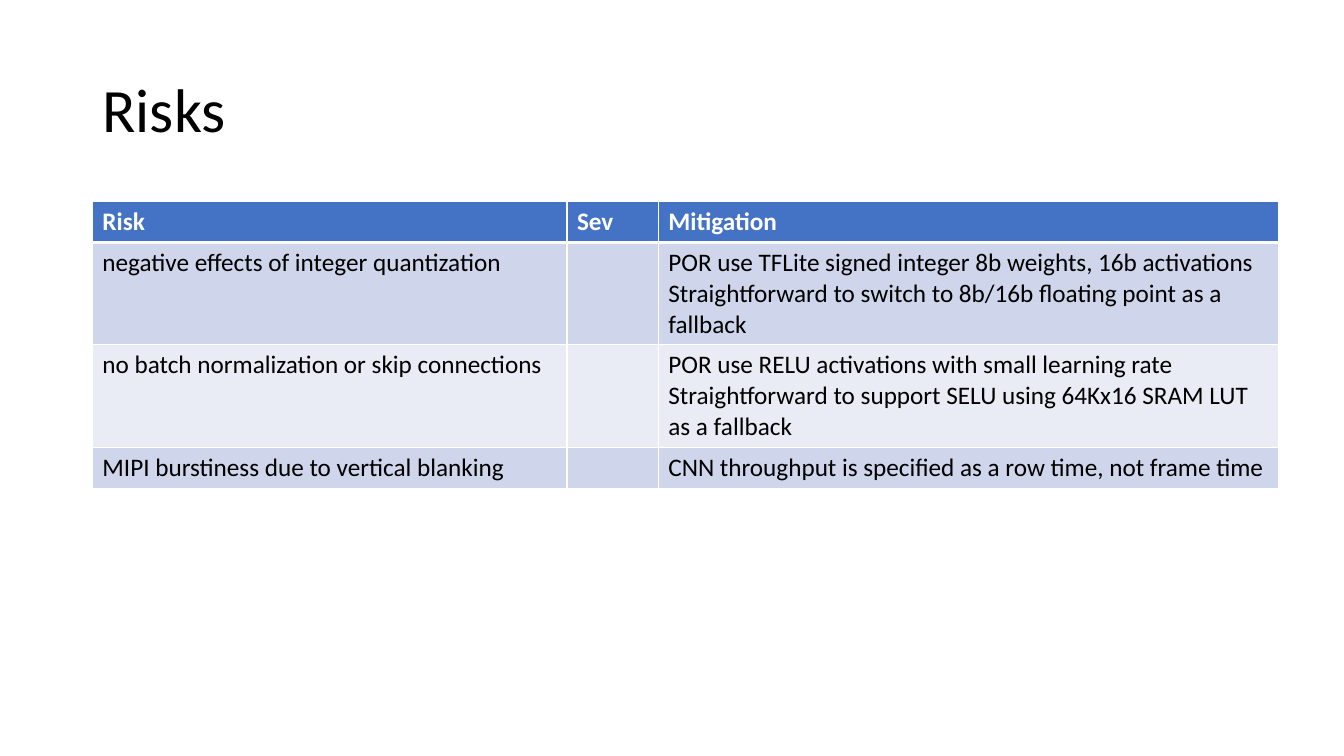
import dataclasses

import pptx
import pptx.dml.color
import pptx.enum.text
import pptx.oxml
import pptx.oxml.ns
import pptx.util

PX = 9525


@dataclasses.dataclass(frozen=True)
class Theme:
    font: str = "Calibri"
    title_size: int = 44
    table_size: int = 18
    text: str = "000000"
    header_text: str = "FFFFFF"
    header_fill: str = "4472C4"
    band_fills: tuple = ("CFD5EA", "E9EBF5")
    border: str = "FFFFFF"
    thin_line: int = 1
    thick_line: int = 3


@dataclasses.dataclass(frozen=True)
class Box:
    left: int
    top: int
    width: int
    height: int

    def emu(self):
        return [length * PX for length in dataclasses.astuple(self)]


THEME = Theme()
PAGE = Box(0, 0, 1280, 720)
TITLE_BOX = Box(88, 38, 1104, 139)
TABLE_BOX = Box(88, 192, 1130, 272)
COLUMN_WIDTHS = (452, 87, 591)
ROW_HEIGHTS = (39, 97, 97, 39)

RISKS = (
    ("Risk", "Sev", "Mitigation"),
    (
        "negative effects of integer quantization",
        "",
        "POR use TFLite signed integer 8b weights, 16b activations\n"
        "Straightforward to switch to 8b/16b floating point as a fallback",
    ),
    (
        "no batch normalization or skip connections",
        "",
        "POR use RELU activations with small learning rate\n"
        "Straightforward to support SELU using 64Kx16 SRAM LUT as a fallback",
    ),
    (
        "MIPI burstiness due to vertical blanking",
        "",
        "CNN throughput is specified as a row time, not frame time",
    ),
)


def rgb(color):
    return pptx.dml.color.RGBColor.from_string(color)


def format_font(font, size, color, bold=False):
    font.name = THEME.font
    font.size = pptx.util.Pt(size)
    font.color.rgb = rgb(color)
    font.bold = bold


def add_title(page, box, text):
    title = page.shapes.title
    title.left, title.top, title.width, title.height = box.emu()
    frame = title.text_frame
    frame.text = text
    frame.vertical_anchor = pptx.enum.text.MSO_ANCHOR.MIDDLE
    para = frame.paragraphs[0]
    para.alignment = pptx.enum.text.PP_ALIGN.LEFT
    para.line_spacing = 0.9
    format_font(para.runs[0].font, THEME.title_size, THEME.text)


def set_borders(cell, top, bottom):
    properties = cell._tc.get_or_add_tcPr()
    widths = {"L": THEME.thin_line, "R": THEME.thin_line, "T": top, "B": bottom}
    for side, width in widths.items():
        properties.append(pptx.oxml.parse_xml(
            f'<a:ln{side} {pptx.oxml.ns.nsdecls("a")} w="{pptx.util.Pt(width)}">'
            f'<a:solidFill><a:srgbClr val="{THEME.border}"/></a:solidFill>'
            f'</a:ln{side}>'
        ))


def fill_cell(cell, row_index, text):
    is_header = row_index == 0
    top = THEME.thick_line if row_index == 1 else THEME.thin_line
    bottom = THEME.thick_line if is_header else THEME.thin_line
    set_borders(cell, top, bottom)
    band = THEME.band_fills[(row_index - 1) % len(THEME.band_fills)]
    cell.fill.solid()
    cell.fill.fore_color.rgb = rgb(THEME.header_fill if is_header else band)
    para = cell.text_frame.paragraphs[0]
    para.text = text
    color = THEME.header_text if is_header else THEME.text
    for span in para.runs:
        format_font(span.font, THEME.table_size, color, is_header)


def add_risk_table(page, box, rows):
    table = page.shapes.add_table(len(rows), len(rows[0]), *box.emu()).table
    for column, width in zip(table.columns, COLUMN_WIDTHS):
        column.width = width * PX
    for row_index, texts in enumerate(rows):
        table.rows[row_index].height = ROW_HEIGHTS[row_index] * PX
        for column_index, text in enumerate(texts):
            fill_cell(table.cell(row_index, column_index), row_index, text)


def main():
    deck = pptx.Presentation()
    deck.slide_width = PAGE.width * PX
    deck.slide_height = PAGE.height * PX
    page = deck.slides.add_slide(deck.slide_layouts.get_by_name("Title Only"))
    add_title(page, TITLE_BOX, "Risks")
    add_risk_table(page, TABLE_BOX, RISKS)
    deck.save("out.pptx")


if __name__ == "__main__":
    main()
